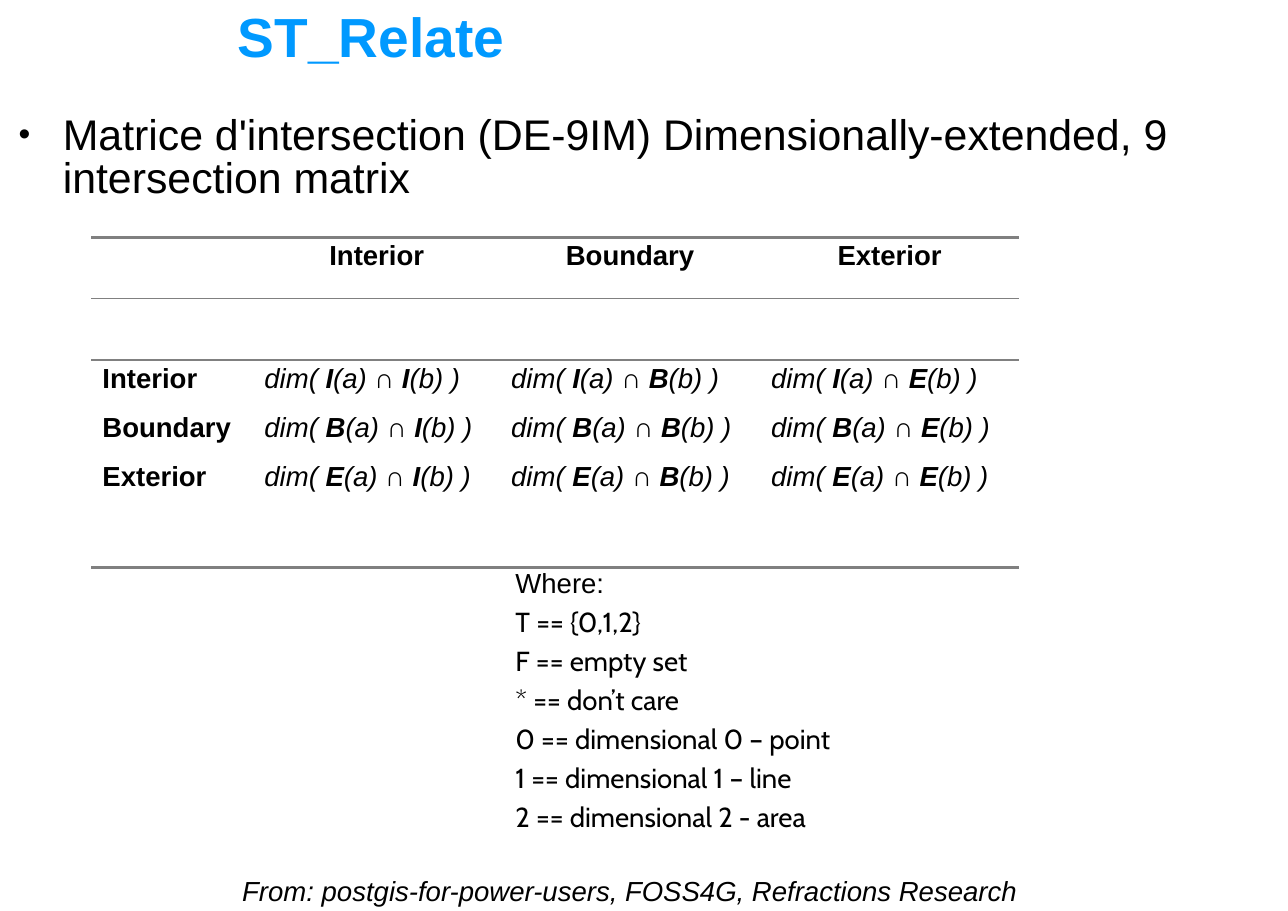
from lxml.etree import SubElement
from pptx import Presentation
from pptx.dml.color import RGBColor
from pptx.enum.text import MSO_ANCHOR as Anchor, PP_ALIGN as Align
from pptx.oxml.ns import qn
from pptx.util import Pt

BLACK = RGBColor(0, 0, 0)
BLUE = RGBColor(0x00, 0x99, 0xFF)
GRAY = RGBColor(0x80, 0x80, 0x80)
NO_GRID_STYLE = "{2D5ABB26-0587-4C30-8999-92F81FD0307C}"
THICK, THIN = 2.21, 1.08

PARTS = ["Interior", "Boundary", "Exterior"]
COLUMN_WIDTHS = [105.84, 161.28, 169.92, 169.2]
ROW_HEIGHTS = [40, 40, 32, 32, 32, 40]
LEGEND = [
    "T == {0,1,2}",
    "F == empty set",
    "* == don’t care",
    "0 == dimensional 0 – point",
    "1 == dimensional 1 – line",
    "2 == dimensional 2 - area",
]


def style(paragraph, size=18, color=BLACK, face="Arial", bold=False,
          italic=False, spacing=0.93, before=0):
    """Set the font and spacing of a paragraph."""
    paragraph.line_spacing = spacing
    paragraph.space_before = Pt(before)
    font = paragraph.font
    font.size, font.name = Pt(size), face
    font.bold, font.italic = bold, italic
    font.color.rgb = color


def add_text(slide, box, text, margins, wrap=True, anchor=Anchor.TOP):
    """Add a text box with one paragraph and return its frame."""
    frame = slide.shapes.add_textbox(*map(Pt, box)).text_frame
    frame.word_wrap = wrap
    frame.vertical_anchor = anchor
    (frame.margin_left, frame.margin_top,
     frame.margin_right, frame.margin_bottom) = map(Pt, margins)
    frame.paragraphs[0].text = text
    return frame


def add_bullet(paragraph, indent, percent):
    """Give a paragraph a black hanging bullet."""
    props = paragraph._p.get_or_add_pPr()
    props.set("marL", str(Pt(indent)))
    props.set("indent", str(-Pt(indent)))
    color = SubElement(props, qn("a:buClr"))
    SubElement(color, qn("a:srgbClr"), val=str(BLACK))
    SubElement(props, qn("a:buSzPct"), val=str(percent * 1000))
    SubElement(props, qn("a:buFont"), typeface="Arial")
    SubElement(props, qn("a:buChar"), char="•")


def rule_row(table, row, edge, width):
    """Draw a gray rule along one edge of a table row."""
    for cell in table.rows[row].cells:
        line = SubElement(cell._tc.get_or_add_tcPr(), qn(edge), w=str(Pt(width)))
        fill = SubElement(line, qn("a:solidFill"))
        SubElement(fill, qn("a:srgbClr"), val=str(GRAY))


def write_formula(paragraph, part_a, part_b):
    """Write one intersection formula with bold set letters."""
    pieces = ["dim( ", part_a[0], "(a) ∩ ", part_b[0], "(b) )"]
    for index, piece in enumerate(pieces):
        run = paragraph.add_run()
        run.text = piece
        run.font.bold = index % 2 == 1
    style(paragraph, italic=True)


def write_label(paragraph, part):
    """Write a bold row or column heading."""
    paragraph.text = part
    style(paragraph, bold=True)


def add_matrix(slide):
    """Add the table of nine intersections."""
    frame = slide.shapes.add_table(
        len(ROW_HEIGHTS), len(COLUMN_WIDTHS), Pt(59.76), Pt(155.2),
        Pt(sum(COLUMN_WIDTHS)), Pt(sum(ROW_HEIGHTS)))
    table = frame.table
    table.first_row = table.horz_banding = False
    table._tbl.tblPr[0].text = NO_GRID_STYLE
    for column, width in zip(table.columns, COLUMN_WIDTHS):
        column.width = Pt(width)
    for row, height in zip(table.rows, ROW_HEIGHTS):
        row.height = Pt(height)

    for index, part in enumerate(PARTS):
        heading = table.cell(0, index + 1).text_frame.paragraphs[0]
        write_label(heading, part)
        heading.alignment = Align.CENTER
        write_label(table.cell(index + 2, 0).text_frame.paragraphs[0], part)
        for column, other in enumerate(PARTS, 1):
            cell = table.cell(index + 2, column)
            write_formula(cell.text_frame.paragraphs[0], part, other)

    rule_row(table, 0, "a:lnT", THICK)
    rule_row(table, 0, "a:lnB", THIN)
    rule_row(table, 1, "a:lnT", THIN)
    rule_row(table, len(ROW_HEIGHTS) - 1, "a:lnB", THICK)
    for cell in table.iter_cells():
        cell.fill.background()


def add_legend(slide):
    """Add the explanation of the matrix symbols."""
    frame = add_text(slide, (329.76, 367.2, 302.4, 198.72), "Where:",
                     (7.2, 5, 7.2, 3.6))
    style(frame.paragraphs[0])
    for entry in LEGEND:
        paragraph = frame.add_paragraph()
        paragraph.text = entry
        style(paragraph, face="Cabin", spacing=0.97, before=4.5)


def main():
    """Build the slide and save it."""
    deck = Presentation()
    deck.slide_width, deck.slide_height = Pt(841.68), Pt(595.44)
    slide = deck.slides.add_slide(deck.slide_layouts[6])

    title = add_text(slide, (155.52, 2.16, 686.16, 44.64), "ST_Relate",
                     (0, 2.16, 0, 0), anchor=Anchor.MIDDLE)
    style(title.paragraphs[0], size=36, color=BLUE, bold=True)

    topic = add_text(
        slide, (12.24, 74.16, 790.56, 62.64),
        "Matrice d'intersection (DE-9IM) Dimensionally-extended, 9 intersection matrix",
        (0, 2.16, 0, 0)).paragraphs[0]
    add_bullet(topic, indent=28.8, percent=78)
    style(topic, size=28, spacing=0.83)

    add_matrix(slide)
    add_legend(slide)

    credit = add_text(
        slide, (151.2, 568.08, 558.72, 30.24),
        "From: postgis-for-power-users, FOSS4G, Refractions Research",
        (7.2, 5, 7.2, 3.6), wrap=False)
    style(credit.paragraphs[0], italic=True)

    deck.save("out.pptx")


if __name__ == "__main__":
    main()
